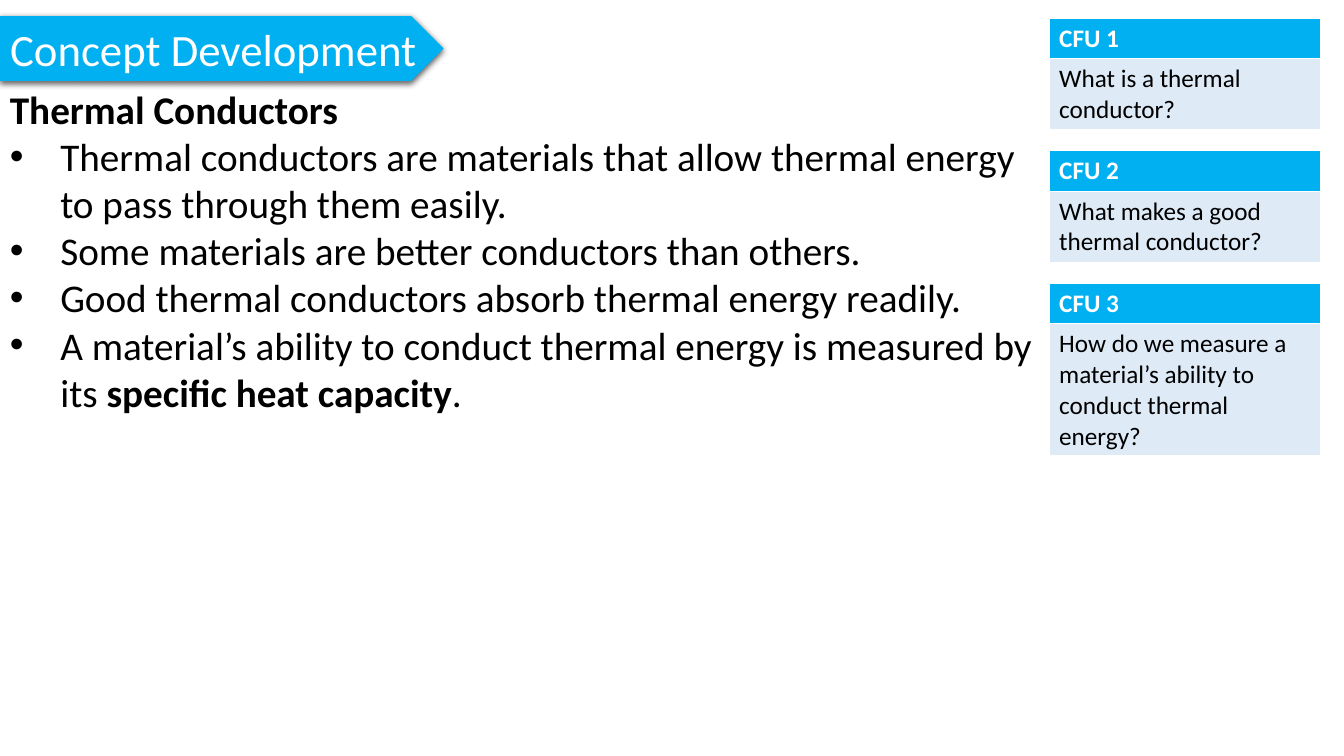
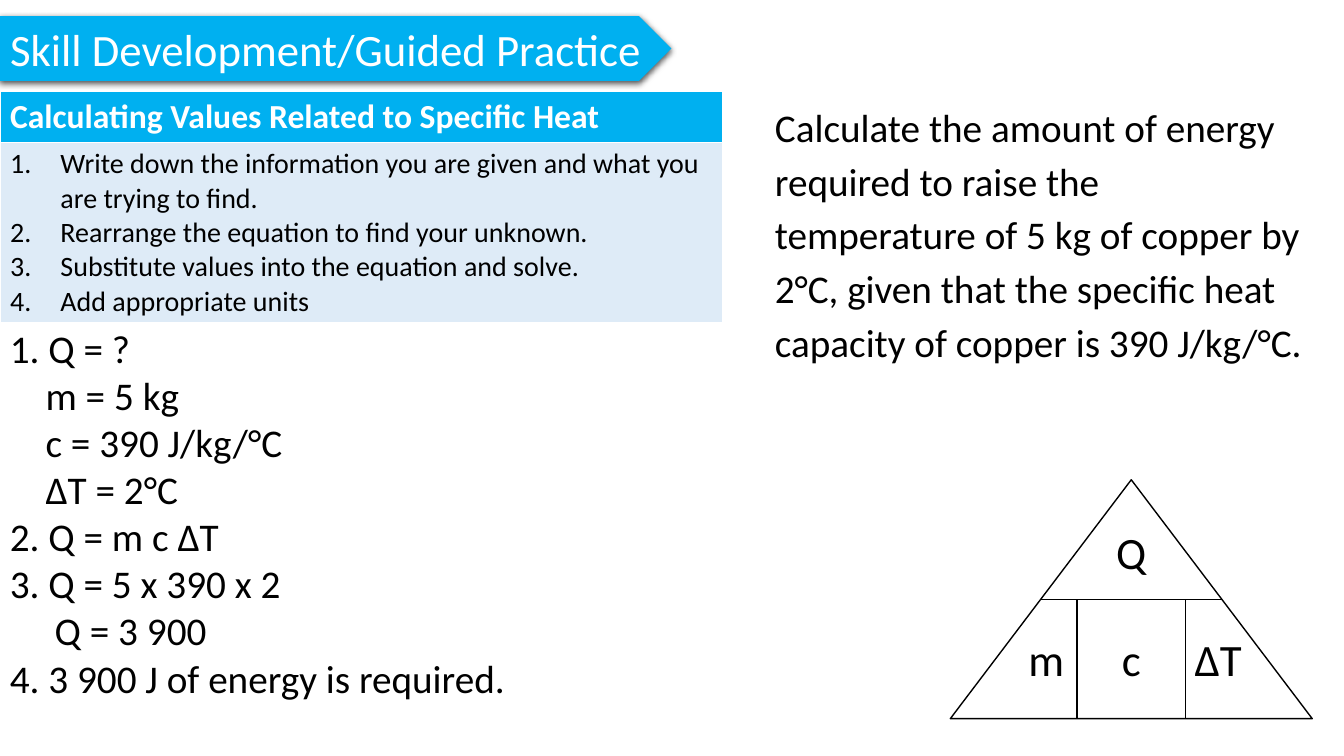
import pptx
import pptx.util
import pptx.dml.color
import pptx.enum.shapes
import pptx.enum.text
import pptx.oxml
import pptx.oxml.ns
from lxml import etree

Cm, Pt = pptx.util.Cm, pptx.util.Pt
ANCHOR = pptx.enum.text.MSO_ANCHOR
ALIGN = pptx.enum.text.PP_ALIGN

FONT = "Calibri"
BLUE, PALE, BLACK, WHITE = "00B0F0", "DEEBF7", "000000", "FFFFFF"
HANG = 1.27  # bullet and number indent, cm

# A paragraph is a list of (text, bold) runs or a plain string.
CONCEPT_TITLE = "Concept Development"
CONCEPT_HEADING = [("Thermal Conductors", True)]
CONCEPT_BULLETS = [
    "Thermal conductors are materials that allow thermal energy to pass through them easily.",
    "Some materials are better conductors than others.",
    "Good thermal conductors absorb thermal energy readily.",
    [("A material’s ability to conduct thermal energy is measured by its ", False),
     ("specific heat capacity", True), (".", False)],
]
CHECKS = [  # question, height of its cell in cm
    ("What is a thermal conductor?", 1.8),
    ("What makes a good thermal conductor?", 1.8),
    ("How do we measure a material’s ability to conduct thermal energy?", 3.33),
]

SKILL_TITLE = "Skill Development/Guided Practice"
STEPS_HEADING = "Calculating Values Related to Specific Heat"
STEPS = [
    "Write down the information you are given and what you are trying to find.",
    "Rearrange the equation to find your unknown.",
    "Substitute values into the equation and solve.",
    "Add appropriate units",
]
PROBLEM = ("Calculate the amount of energy required to raise the temperature of 5 kg of "
           "copper by 2°C, given that the specific heat capacity of copper is 390 J/kg/°C.")
WORKING = [  # line, indent in cm
    ("1. Q = ?", 0), ("m = 5 kg", 0.9), ("c = 390 J/kg/°C", 0.9), ("ΔT = 2°C", 0.9),
    ("2. Q = m c ΔT", 0), ("3. Q = 5 x 390 x 2", 0), ("Q = 3 900", 1.13),
    ("4. 3 900 J of energy is required.", 0),
]
TRIANGLE = (23.95, 12.09, 9.12, 6.02)
# Ends of the dividers and centres of the labels, as fractions of the triangle
DIVIDERS = [(0.25, 0.5, 0.75, 0.5), (0.35, 0.5, 0.35, 1), (0.65, 0.5, 0.65, 1)]
SYMBOLS = [("Q", 0.5, 0.3), ("m", 0.265, 0.75), ("c", 0.5, 0.75), ("ΔT", 0.74, 0.75)]


def rgb(color):
    return pptx.dml.color.RGBColor.from_string(color)


def box(*lengths):
    return [Cm(n) for n in lengths]


def set_indent(p, left, bullet=None):
    """Indent a paragraph; bullet is an (element, attributes) pair that hangs to its left."""
    pPr = p._p.get_or_add_pPr()
    pPr.set("marL", str(Cm(left)))
    if bullet:
        pPr.set("indent", str(-Cm(left)))
        tag, attributes = bullet
        font = etree.SubElement(pPr, pptx.oxml.ns.qn("a:buFont"))
        font.set("typeface", "Arial" if tag == "a:buChar" else "+mj-lt")
        mark = etree.SubElement(pPr, pptx.oxml.ns.qn(tag))
        for name, value in attributes.items():
            mark.set(name, value)


DOT = ("a:buChar", {"char": "•"})
NUMBER = ("a:buAutoNum", {"type": "arabicPeriod"})


def write(tf, paragraphs, size, color=BLACK, bold=False):
    """Fill a text frame from (content, indent, bullet) tuples."""
    for i, (content, indent, bullet) in enumerate(paragraphs):
        p = tf.add_paragraph() if i else tf.paragraphs[0]
        if indent:
            set_indent(p, indent, bullet)
        runs = [(content, bold)] if isinstance(content, str) else content
        for text, is_bold in runs:
            r = p.add_run()
            r.text = text
            for name, value in {"name": FONT, "size": Pt(size), "bold": is_bold}.items():
                setattr(r.font, name, value)
            r.font.color.rgb = rgb(color)


def add_text(shapes, bounds, paragraphs, size):
    tf = shapes.add_textbox(*box(*bounds)).text_frame
    tf.word_wrap = True
    write(tf, paragraphs, size)
    return tf


def add_titled_slide(prs, title, band_width):
    s = prs.slides.add_slide(prs.slide_layouts[5])
    bounds = box(0, 0.41, band_width, 1.63)
    band = s.shapes.add_shape(pptx.enum.shapes.MSO_SHAPE.PENTAGON, *bounds)
    band.fill.solid()
    band.fill.fore_color.rgb = rgb(BLUE)
    band.line.fill.background()
    band.shadow.inherit = False
    band._element.spPr.find(pptx.oxml.ns.qn("a:effectLst")).append(pptx.oxml.parse_xml(
        f'<a:outerShdw {pptx.oxml.ns.nsdecls("a")} blurRad="{Pt(4.5)}" dist="{Pt(1.5)}" '
        f'dir="5400000" algn="ctr" rotWithShape="0"><a:srgbClr val="{BLACK}">'
        '<a:alpha val="63000"/></a:srgbClr></a:outerShdw>'))

    sp = s.shapes.title
    sp.left, sp.top, sp.width, sp.height = bounds
    tf = sp.text_frame
    tf.auto_size = pptx.enum.text.MSO_AUTO_SIZE.NONE
    tf.vertical_anchor = ANCHOR.MIDDLE
    write(tf, [(title, 0, None)], 32, WHITE)
    tf.paragraphs[0].alignment = ALIGN.LEFT
    band._element.addnext(sp._element)  # title text in front of its band
    return s


def add_panel(s, left, top, width, heights, heading, heading_size, paragraphs, size):
    """A two-row table: a blue heading over a pale body."""
    table = s.shapes.add_table(2, 1, *box(left, top, width, sum(heights))).table
    for row, height in zip(table.rows, heights):
        row.height = Cm(height)
    head, body = table.cell(0, 0), table.cell(1, 0)
    for cell, color in ((head, BLUE), (body, PALE)):
        cell.fill.solid()
        cell.fill.fore_color.rgb = rgb(color)
    write(head.text_frame, [(heading, 0, None)], heading_size, WHITE, bold=True)
    write(body.text_frame, paragraphs, size)


def add_formula_triangle(s):
    left, top, width, height = TRIANGLE
    shapes = s.shapes.add_group_shape().shapes
    outline = shapes.add_shape(pptx.enum.shapes.MSO_SHAPE.ISOSCELES_TRIANGLE, *box(*TRIANGLE))
    outline.fill.background()
    outline.shadow.inherit = False
    lines = [outline]
    for x1, y1, x2, y2 in DIVIDERS:
        divider = shapes.add_connector(
            pptx.enum.shapes.MSO_CONNECTOR.STRAIGHT,
            *box(left + x1 * width, top + y1 * height, left + x2 * width, top + y2 * height))
        etree.SubElement(divider._element.spPr, pptx.oxml.ns.qn("a:effectLst"))
        lines.append(divider)
    for shape in lines:
        shape.line.color.rgb = rgb(BLACK)
        shape.line.width = Pt(1)
    w, h = 1.73, 1.63
    for symbol, x, y in SYMBOLS:
        bounds = (left + x * width - w / 2, top + y * height - h / 2, w, h)
        tf = add_text(shapes, bounds, [(symbol, 0, None)], 32)
        tf.vertical_anchor = ANCHOR.MIDDLE
        tf.paragraphs[0].alignment = ALIGN.CENTER


def build_concept(prs):
    s = add_titled_slide(prs, CONCEPT_TITLE, 11.18)
    bullets = [(text, HANG, DOT) for text in CONCEPT_BULLETS]
    add_text(s.shapes, (0, 2.03, 26.44, 8.64), [(CONCEPT_HEADING, 0, None)] + bullets, 28)
    for i, (question, height) in enumerate(CHECKS):
        add_panel(s, 26.44, 0.46 + i * 3.34, 6.83, (0.99, height),
                  f"CFU {i + 1}", 18, [(question, 0, None)], 18)


def build_skill(prs):
    s = add_titled_slide(prs, SKILL_TITLE, 16.92)
    tf = add_text(s.shapes, (19.28, 2.31, 13.87, 7.32), [(PROBLEM, 0, None)], 28)
    tf.paragraphs[0].line_spacing = 1.14
    tf.paragraphs[0].space_after = Pt(12)
    add_panel(s, 0, 2.31, 18.21, (1.23, 4.54), STEPS_HEADING, 24,
              [(step, HANG, NUMBER) for step in STEPS], 20)
    add_formula_triangle(s)
    add_text(s.shapes, (0, 8.05, 18.21, 11), [(*line, None) for line in WORKING], 28)


def main():
    prs = pptx.Presentation()
    prs.slide_width, prs.slide_height = box(33.87, 19.05)
    build_concept(prs)
    build_skill(prs)
    prs.save("out.pptx")


if __name__ == "__main__":
    main()
